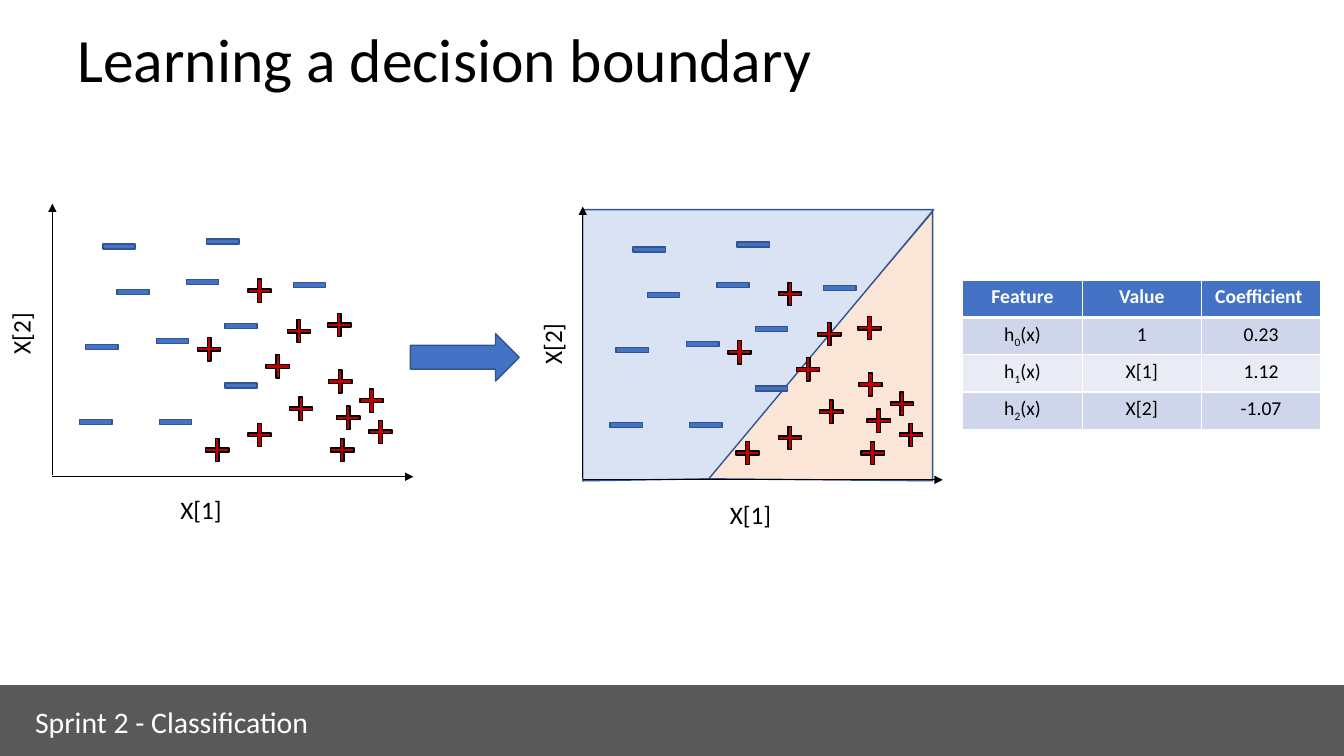
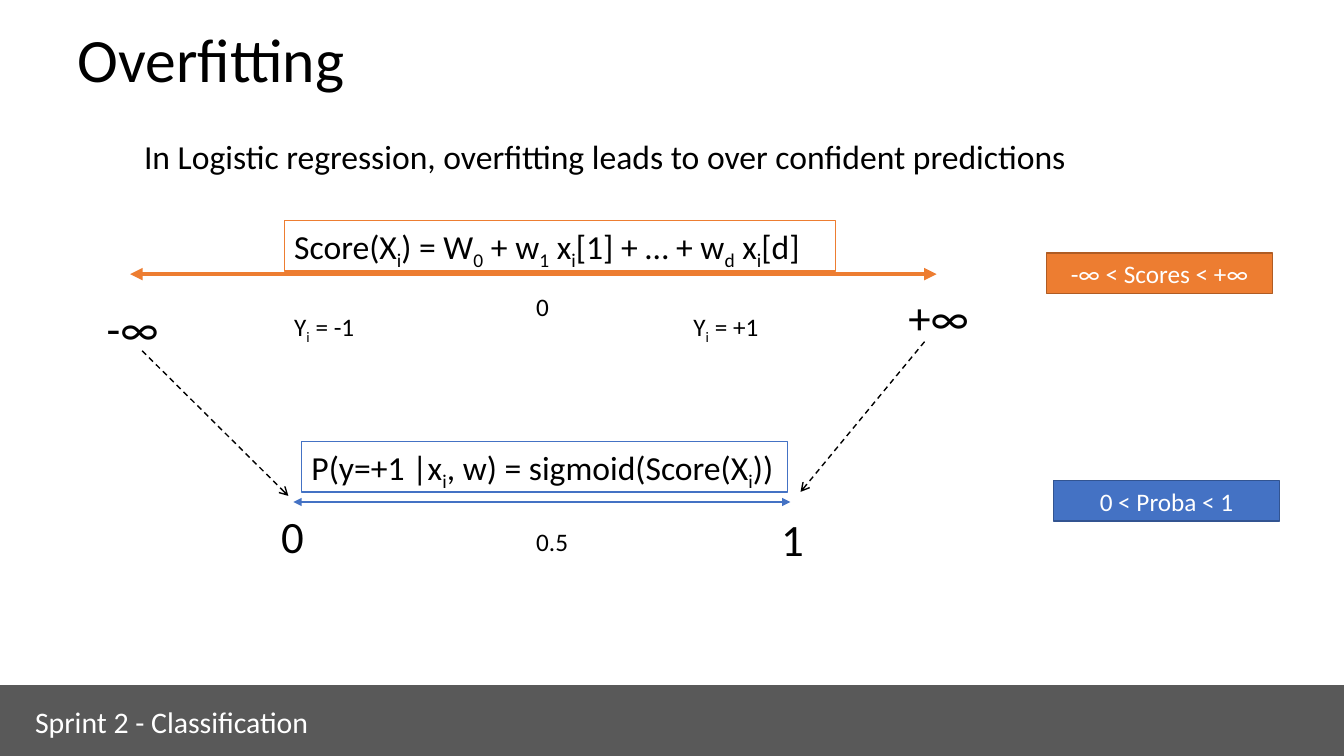
from dataclasses import dataclass

from lxml import etree
from pptx import Presentation
from pptx.dml.color import RGBColor
from pptx.enum.dml import MSO_LINE
from pptx.enum.shapes import MSO_CONNECTOR, MSO_SHAPE
from pptx.enum.text import MSO_ANCHOR, PP_ALIGN
from pptx.oxml.ns import qn
from pptx.util import Pt

PX = 9144  # EMU per px, 100 px to the inch
WIDTH, HEIGHT = 1333, 750
RECT, PLUS, RIGHT_ARROW = MSO_SHAPE.RECTANGLE, MSO_SHAPE.CROSS, MSO_SHAPE.RIGHT_ARROW
STRAIGHT, DASH = MSO_CONNECTOR.STRAIGHT, MSO_LINE.DASH
TOP, MIDDLE = MSO_ANCHOR.TOP, MSO_ANCHOR.MIDDLE
LEFT, CENTER = PP_ALIGN.LEFT, PP_ALIGN.CENTER


@dataclass(frozen=True)
class Theme:
    font: str = "Calibri"
    black: str = "000000"
    white: str = "FFFFFF"
    blue: str = "4472C4"
    blue_edge: str = "325491"
    blue_pale: str = "DAE3F3"
    orange: str = "ED7D31"
    orange_edge: str = "AF5C24"
    orange_pale: str = "FBE5D6"
    red: str = "C00000"
    band: str = "595959"
    row_odd: str = "CFD5EA"
    row_even: str = "E9EBF5"
    title: float = 44
    limit: float = 32
    body: float = 24
    footer: float = 21.3
    label: float = 18
    cell: float = 14


T = Theme()

# Marks, measured from the top left corner of a plot
MINUSES = [(103, 134), (64, 85), (27, 214), (153, 35), (171, 119), (106, 214),
           (239, 78), (171, 178), (33, 140), (50, 40), (133, 75)]
PLUSES = [(274, 165), (235, 192), (212, 150), (273, 109), (194, 218), (276, 233),
          (144, 133), (314, 215), (233, 115), (194, 75), (152, 233), (282, 201),
          (305, 184)]
REGIONS = [(T.orange_pale, [(122, 270), (347, 5), (347, 272)]),
           (T.blue_pale, [(125, 270), (348, 3), (0, 3), (0, 272)])]
COEFFICIENTS = [("Feature", "Value", "Coefficient "), ("h_0(x)", "1", "0.23"),
                ("h_1(x)", "X[1]", "1.12"), ("h_2(x)", "X[2]", "-1.07")]


def px(*lengths):
    return [round(n * PX) for n in lengths]


def rgb(color):
    return RGBColor.from_string(color)


def write(p, text, size, color=T.black, align=LEFT, bold=False):
    """Fill a paragraph; the character after each underscore is a subscript."""
    p.alignment = align
    head, *rest = text.split("_")
    parts = [(head, False)]
    for part in rest:
        parts += [(part[0], True), (part[1:], False)]
    for words, subscript in parts:
        if not words:
            continue
        r = p.add_run()
        r.text = words
        for name, value in {"name": T.font, "size": Pt(size), "bold": bold}.items():
            setattr(r.font, name, value)
        r.font.color.rgb = rgb(color)
        if subscript:
            r._r.get_or_add_rPr().set("baseline", "-25000")


def label(s, x, y, w, h, text, size, anchor=TOP, rotation=0, **style):
    sp = s.shapes.add_textbox(*px(x, y, w, h))
    sp.rotation = rotation
    frame_text(sp, text, size, anchor, **style)
    return sp


def frame_text(sp, text, size, anchor=TOP, **style):
    tf = sp.text_frame
    for name, value in {"word_wrap": True, "vertical_anchor": anchor}.items():
        setattr(tf, name, value)
    write(tf.paragraphs[0], text, size, **style)


def paint(sp, fill, edge):
    sp.shadow.inherit = False
    sp.fill.solid()
    sp.fill.fore_color.rgb = rgb(fill)
    sp.line.color.rgb = rgb(edge)
    sp.line.width = Pt(1)
    return sp


def shape(s, kind, x, y, w, h, fill, edge):
    return paint(s.shapes.add_shape(kind, *px(x, y, w, h)), fill, edge)


def arrow(s, x1, y1, x2, y2, color=T.black, width=1, head=None, tail="triangle",
          dash=None):
    sp = s.shapes.add_connector(STRAIGHT, *px(x1, y1, x2, y2))
    sp.line.color.rgb = rgb(color)
    for name, value in {"width": Pt(width), "dash_style": dash}.items():
        setattr(sp.line, name, value)
    ln = sp.line._get_or_add_ln()
    for tag, end in (("a:headEnd", head), ("a:tailEnd", tail)):
        if end:
            etree.SubElement(ln, qn(tag), type=end)
    etree.SubElement(sp._element.spPr, qn("a:effectLst"))


def base_slide(prs, title):
    """Blank slide with the shared title and footer band."""
    s = prs.slides.add_slide(prs.slide_layouts[6])
    sp = label(s, 67, 0, 1200, 125, title, T.title, MIDDLE)
    sp.text_frame.paragraphs[0].line_spacing = 0.9
    shape(s, RECT, 0, 680, WIDTH, 70, T.band, T.band)
    label(s, 25, 693, 336, 46, "Sprint 2 - Classification", T.footer, color=T.white)
    return s


def scatter_plot(s, x, y, w, h, x_label, y_label, regions=()):
    """Axes, marks and optional class regions; label places are offsets."""
    for fill, points in regions:
        (x0, y0), *rest = [(x + dx, y + dy) for dx, dy in points]
        outline = s.shapes.build_freeform(x0, y0, scale=PX)
        outline.add_line_segments(rest, close=True)
        paint(outline.convert_to_shape(), fill, T.blue_edge)
    arrow(s, x, y + h - 2, x, y)
    arrow(s, x, y + h, x + w, y + h)
    for dx, dy in MINUSES:
        shape(s, RECT, x + dx, y + dy, 32, 5, T.blue, T.blue_edge)
    for dx, dy in PLUSES:
        sp = shape(s, PLUS, x + dx, y + dy, 23, 23, T.red, T.black)
        sp.adjustments[0] = 0.42
    for text, (dx, dy), turn in (("X[1]", x_label, 0), ("X[2]", y_label, 270)):
        label(s, x + dx, y + dy, 73, 40, text, T.label, rotation=turn)


def cell_borders(cell, bottom):
    tc_pr = cell._tc.get_or_add_tcPr()
    for side, width in (("L", 1), ("R", 1), ("T", 1), ("B", bottom)):
        ln = etree.SubElement(tc_pr, qn("a:ln" + side), w=str(Pt(width)))
        fill = etree.SubElement(ln, qn("a:solidFill"))
        etree.SubElement(fill, qn("a:srgbClr"), val=T.white)


def coefficient_table(s, x, y, w, h):
    rows, cols = len(COEFFICIENTS), len(COEFFICIENTS[0])
    table = s.shapes.add_table(rows, cols, *px(x, y, w, h)).table
    for i, values in enumerate(COEFFICIENTS):
        header = i == 0
        fill = T.blue if header else T.row_odd if i % 2 else T.row_even
        for j, text in enumerate(values):
            cell = table.cell(i, j)
            cell_borders(cell, 3 if header else 1)
            cell.fill.solid()
            cell.fill.fore_color.rgb = rgb(fill)
            write(cell.text_frame.paragraphs[0], text, T.cell,
                  T.white if header else T.black, CENTER, header)


def formula(s, x, y, w, h, text, edge):
    frame_text(shape(s, RECT, x, y, w, h, T.white, edge), text, T.body)


def range_badge(s, x, y, text, fill, edge):
    sp = shape(s, RECT, x, y, 224, 40, fill, edge)
    frame_text(sp, text, T.label, MIDDLE, color=T.white, align=CENTER)


def score_scale(s, x, y, w):
    """Unbounded score axis, its formula and its class labels."""
    arrow(s, x, y, x + w, y, T.orange, 3, head="triangle")
    label(s, x - 33, y + 21, 148, 64, "-∞", T.limit)
    label(s, x + w - 38, y + 11, 148, 64, "+∞", T.limit)
    formula(s, x + 153, y - 53, 547, 50,
            "Score(X_i) = W_0 + w_1 x_i[1] + … + w_d x_i[d]", T.orange)
    label(s, x + 393, y + 12, 80, 40, "0", T.label)
    for dx, text in ((153, "Y_i = -1"), (549, "Y_i = +1")):
        label(s, x + dx, y + 32, 120, 40, text, T.label)
    range_badge(s, x + 909, y - 21, "-∞ < Scores < +∞", T.orange, T.orange_edge)


def probability_scale(s, x, y, w):
    """Bounded probability axis and its formula."""
    arrow(s, x, y, x + w, y, T.blue, 1.5, head="triangle")
    label(s, x - 22, y + 2, 148, 64, "0", T.limit)
    label(s, x + w - 19, y + 5, 148, 64, "1", T.limit)
    label(s, x + 231, y + 19, 80, 40, "0.5", T.label)
    formula(s, x + 8, y - 60, 482, 50, "P(y=+1 |x_i, w) = sigmoid(Score(X_i))", T.blue)
    range_badge(s, x + 754, y - 21, "0 < Proba < 1", T.blue, T.blue_edge)


def boundary_slide(prs):
    s = base_slide(prs, "Learning a decision boundary")
    scatter_plot(s, 52, 202, 358, 271, (117, 283), (-68, 103))
    scatter_plot(s, 578, 205, 357, 271, (136, 285), (-67, 110), REGIONS)
    shape(s, RIGHT_ARROW, 407, 331, 108, 47, T.blue, T.blue_edge)
    coefficient_table(s, 955, 278, 355, 148)


def overfitting_slide(prs):
    s = base_slide(prs, "Overfitting")
    label(s, 133, 130, 959, 50,
          "In Logistic regression, overfitting leads to over confident predictions",
          T.body)
    score_scale(s, 129, 272, 800)
    probability_scale(s, 291, 498, 493)
    # Limits of the score map to limits of the probability
    for ends in ((917, 339, 794, 488), (141, 348, 286, 492)):
        arrow(s, *ends, tail="arrow", dash=DASH)


def main():
    prs = Presentation()
    prs.slide_width, prs.slide_height = px(WIDTH, HEIGHT)
    boundary_slide(prs)
    overfitting_slide(prs)
    prs.save("out.pptx")


if __name__ == "__main__":
    main()
